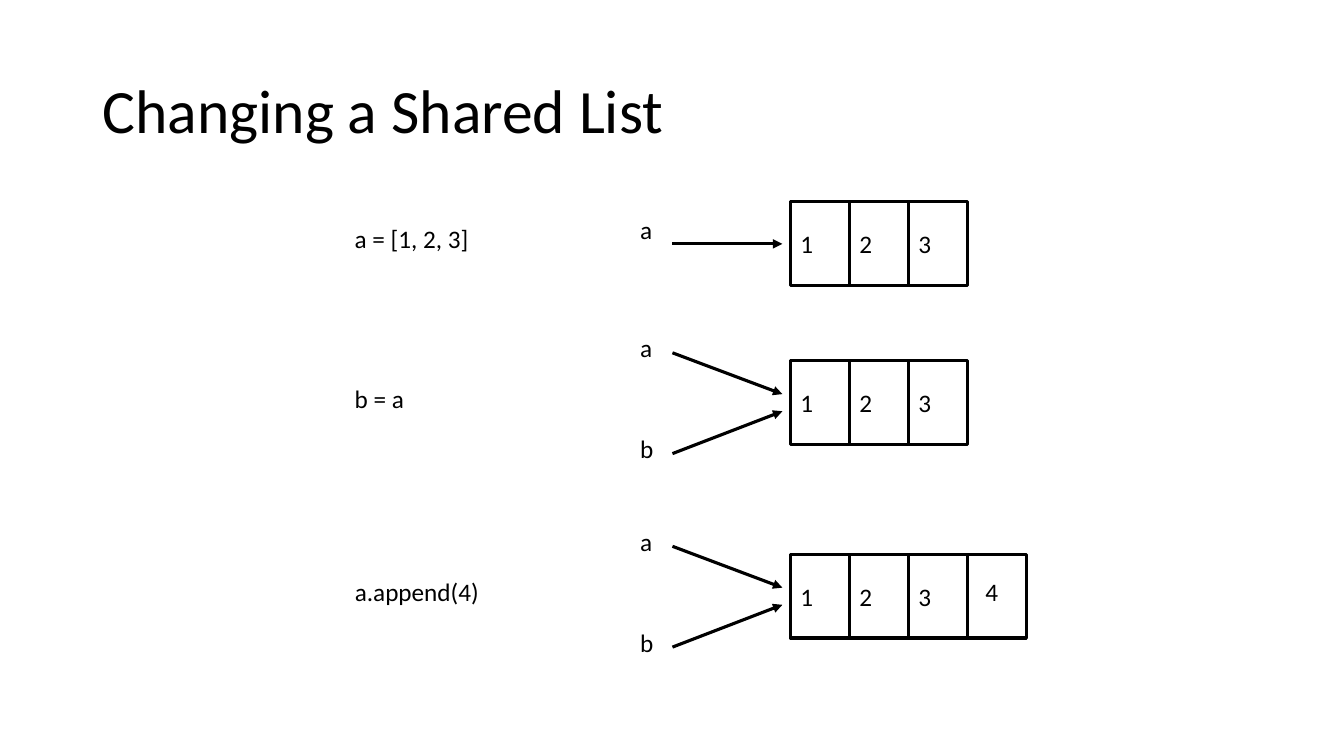
from dataclasses import dataclass

from lxml.etree import SubElement
from pptx import Presentation
from pptx.dml.color import RGBColor
from pptx.enum.shapes import MSO_CONNECTOR, MSO_SHAPE
from pptx.enum.text import MSO_ANCHOR, PP_ALIGN
from pptx.oxml.ns import qn
from pptx.util import Inches, Pt


@dataclass(frozen=True)
class Theme:
    ink: RGBColor = RGBColor(0, 0, 0)
    font: str = "Calibri"
    title_size: int = 44
    body_size: int = 18
    line_width: float = 2.25


THEME = Theme()

CODE_LEFT = 3.42
NAME_LEFT = 6.25
ARROW_START, ARROW_END = 6.67, 7.76
LIST_LEFT = 7.84
CELL_WIDTH, CELL_HEIGHT = 0.585, 0.83
LABEL_HEIGHT = 0.4
LABEL_DROP = 0.17

# Each reference: name, then label top, arrow start and arrow end below the list top
SINGLE_REFERENCE = [("a", 0.08, 0.42, 0.42)]
SHARED_REFERENCES = [("a", -0.33, -0.08, 0.33), ("b", 0.67, 0.92, 0.5)]

# Each state: code, code width, list top, references
STATES = [
    ("a = [1, 2, 3]", 1.34, 2.0, SINGLE_REFERENCE),
    ("b = a", 0.7, 3.58, SHARED_REFERENCES),
    ("a.append(4)", 1.45, 5.5, SHARED_REFERENCES),
]
VALUES = ["1", "2", "3"]
APPENDED_VALUE = "4"


def write_text(shape, text, size, wrap, anchor):
    frame = shape.text_frame
    for name, value in {"word_wrap": wrap, "vertical_anchor": anchor}.items():
        setattr(frame, name, value)
    paragraph = frame.paragraphs[0]
    paragraph.alignment = PP_ALIGN.LEFT
    run = paragraph.add_run()
    run.text = text
    for name, value in {"name": THEME.font, "size": Pt(size)}.items():
        setattr(run.font, name, value)
    run.font.color.rgb = THEME.ink
    return paragraph


def set_line(shape):
    shape.line.color.rgb = THEME.ink
    shape.line.width = Pt(THEME.line_width)


def add_title(slide, text):
    box = slide.shapes.add_textbox(Inches(0.92), Inches(0.4), Inches(11.5), Inches(1.45))
    paragraph = write_text(box, text, THEME.title_size, True, MSO_ANCHOR.MIDDLE)
    paragraph.line_spacing = 0.9


def add_label(slide, text, left, top, width):
    box = slide.shapes.add_textbox(
        Inches(left), Inches(top), Inches(width), Inches(LABEL_HEIGHT)
    )
    write_text(box, text, THEME.body_size, False, MSO_ANCHOR.TOP)


def add_cell(slide, index, top, value=None):
    cell = slide.shapes.add_shape(
        MSO_SHAPE.RECTANGLE,
        Inches(LIST_LEFT + index * CELL_WIDTH),
        Inches(top),
        Inches(CELL_WIDTH),
        Inches(CELL_HEIGHT),
    )
    cell.shadow.inherit = False
    cell.fill.background()
    set_line(cell)
    if value:
        write_text(cell, value, THEME.body_size, True, MSO_ANCHOR.MIDDLE)


def add_arrow(slide, start_top, end_top):
    arrow = slide.shapes.add_connector(
        MSO_CONNECTOR.STRAIGHT,
        Inches(ARROW_START),
        Inches(start_top),
        Inches(ARROW_END),
        Inches(end_top),
    )
    set_line(arrow)
    SubElement(arrow.line._get_or_add_ln(), qn("a:tailEnd"), type="triangle")
    SubElement(arrow._element.spPr, qn("a:effectLst"))


def add_state(slide, code, code_width, top, references):
    """Draw a line of code, the names it leaves and the list they point to."""
    add_label(slide, code, CODE_LEFT, top + LABEL_DROP, code_width)
    for name, label_drop, start_drop, end_drop in references:
        add_label(slide, name, NAME_LEFT, top + label_drop, 0.33)
        add_arrow(slide, top + start_drop, top + end_drop)
    for index, value in enumerate(VALUES):
        add_cell(slide, index, top, value)


def add_appended_cell(slide, top):
    index = len(VALUES)
    add_cell(slide, index, top)
    label_left = LIST_LEFT + index * CELL_WIDTH + 0.08
    add_label(slide, APPENDED_VALUE, label_left, top + LABEL_DROP, 0.33)


def main():
    presentation = Presentation()
    presentation.slide_width = Inches(13.33)
    presentation.slide_height = Inches(7.5)
    slide = presentation.slides.add_slide(presentation.slide_layouts[6])

    add_title(slide, "Changing a Shared List")
    for code, code_width, top, references in STATES:
        add_state(slide, code, code_width, top, references)
    last_top = STATES[-1][2]
    add_appended_cell(slide, last_top)

    presentation.save("out.pptx")


if __name__ == "__main__":
    main()
